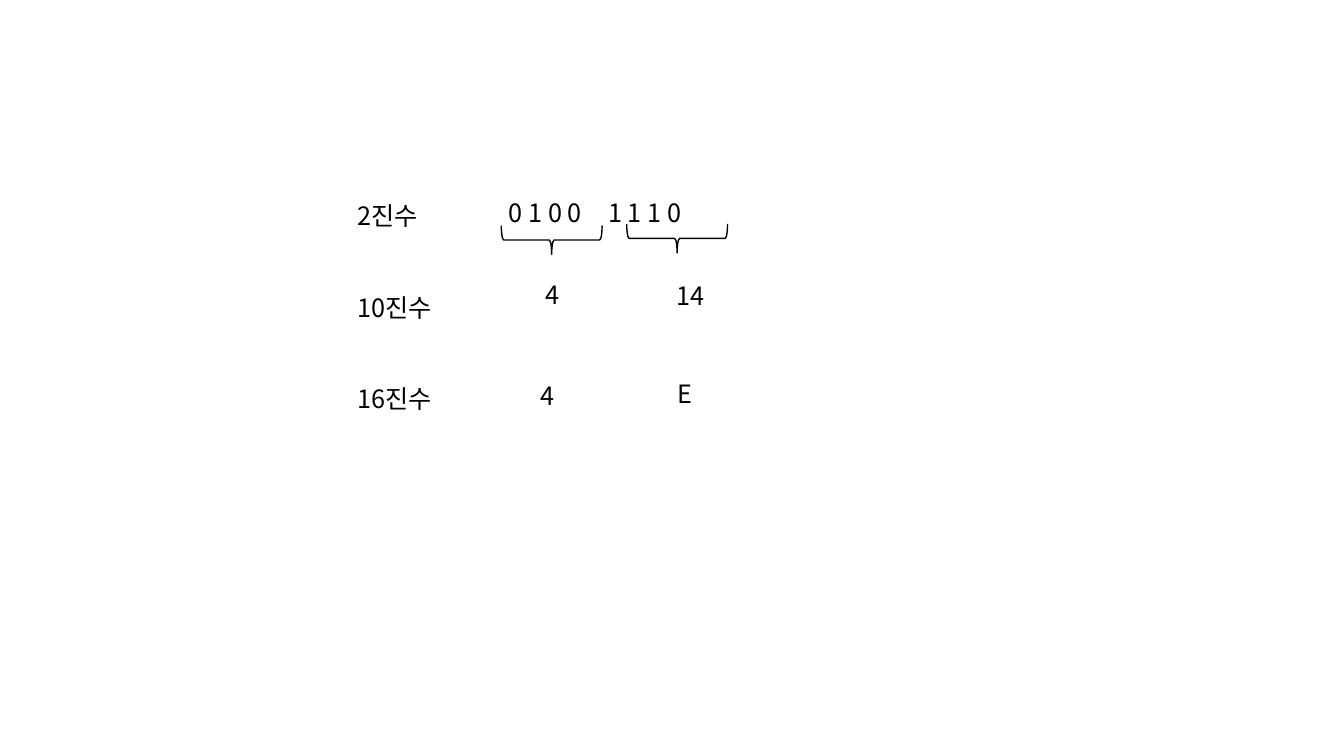
from lxml import etree
from pptx import Presentation
from pptx.dml.color import RGBColor
from pptx.enum.shapes import MSO_SHAPE
from pptx.enum.text import MSO_AUTO_SIZE
from pptx.oxml.ns import qn
from pptx.util import Pt

LEFT_BRACE = MSO_SHAPE.LEFT_BRACE
GROW = MSO_AUTO_SIZE.SHAPE_TO_FIT_TEXT

THEME = {
    "font": {"name": "Noto Sans CJK KR", "size": Pt(18)},
    "ink": RGBColor(0, 0, 0),
    "line": Pt(1),
}
FRAME = {"word_wrap": True, "auto_size": GROW}
TEXT_HEIGHT = 29
DIGIT_TAB = 71

prs = Presentation()
prs.slide_width, prs.slide_height = Pt(960), Pt(540)
s = prs.slides.add_slide(prs.slide_layouts[6])


def add_text(text, left, top, width):
    tf = s.shapes.add_textbox(Pt(left), Pt(top), Pt(width), Pt(TEXT_HEIGHT)).text_frame
    for name, value in FRAME.items():
        setattr(tf, name, value)
    p = tf.paragraphs[0]
    r = p.add_run()
    r.text = text
    for name, value in THEME["font"].items():
        setattr(r.font, name, value)
    r.font.color.rgb = THEME["ink"]
    etree.SubElement(r.font._element, qn("a:ea"), typeface=THEME["font"]["name"])
    return p


for row, base in enumerate((2, 10, 16)):
    add_text(f"{base}진수", 248.4, 139.7 + 65.2 * row, 77.8)

p = add_text("0 1 0 0\t1 1 1 0", 356.4, 137.5, 166.3)
tabs = etree.SubElement(p._p.get_or_add_pPr(), qn("a:tabLst"))
etree.SubElement(tabs, qn("a:tab"), pos=str(Pt(DIGIT_TAB)), algn="l")

for left, top in ((383.8, 135.4), (473.4, 134.3)):
    sp = s.shapes.add_shape(LEFT_BRACE, Pt(left), Pt(top), Pt(20.6), Pt(72))
    sp.rotation = 270
    sp.shadow.inherit = False
    sp.fill.background()
    sp.line.color.rgb = THEME["ink"]
    sp.line.width = THEME["line"]

for text, left, top, width in (
    ("4", 382.3, 195.8, 33.1),
    ("14", 475.9, 196.6, 38.9),
    ("4", 379.1, 267.8, 33.1),
    ("E", 476.6, 266.4, 38.9),
):
    add_text(text, left, top, width)

prs.save("out.pptx")
